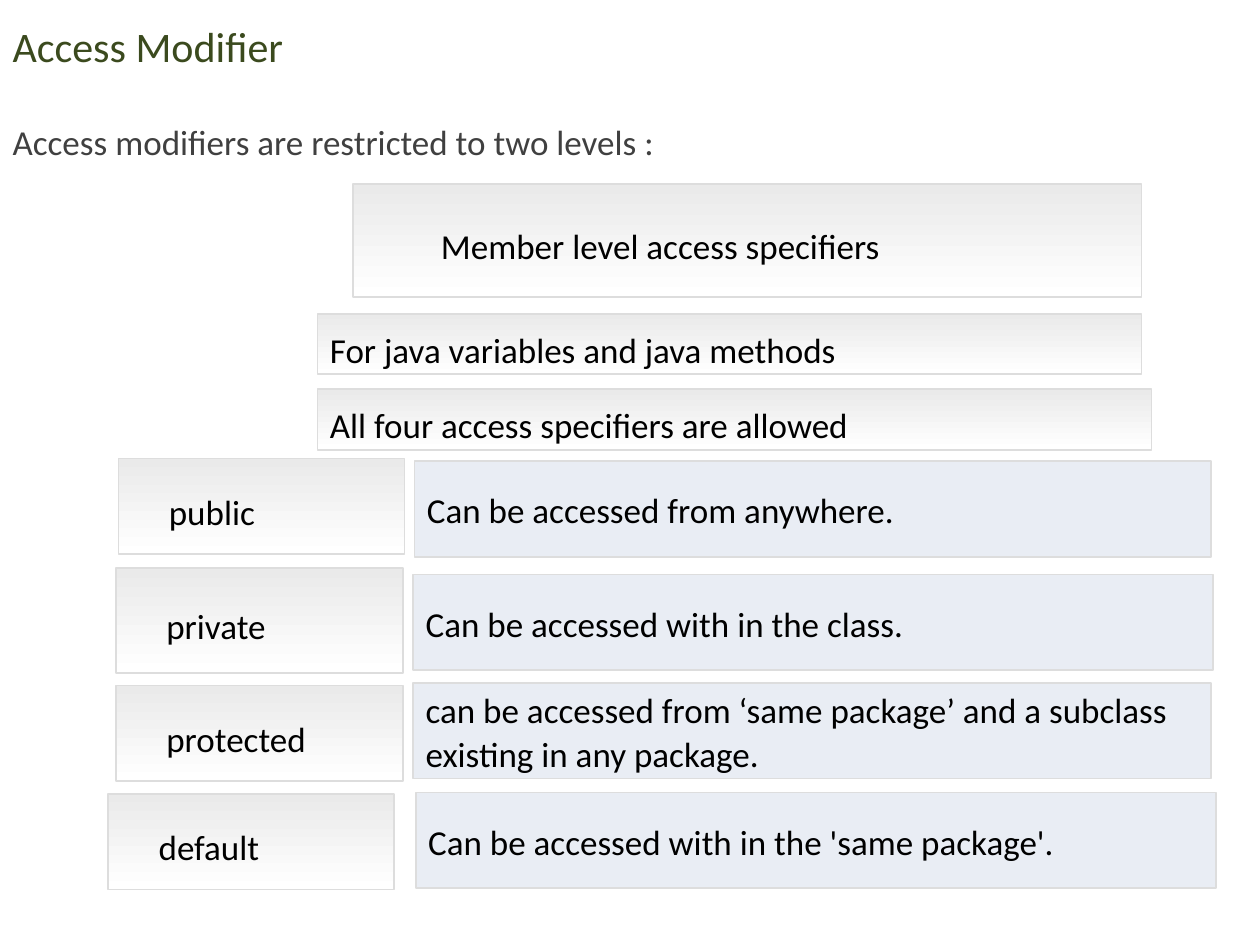
from pptx import Presentation
from pptx.dml.color import RGBColor
from pptx.enum.shapes import MSO_SHAPE
from pptx.enum.text import MSO_ANCHOR, MSO_AUTO_SIZE, PP_ALIGN
from pptx.oxml.ns import qn
from pptx.util import Inches, Pt

COLUMNS, ROWS = 100, 75
TITLE = ("Access Modifier", (0, 1.4, 95.5, 4.5))
INTRO = ("Access modifiers are restricted to two levels :", (0, 7.4, 93, 6))
HEADINGS = [
    ("Member level access specifiers", (28, 14.6, 62.6, 9), 0.7),
    ("For java variables and java methods", (25.2, 24.9, 65.4, 4.8), 0.1),
    ("All four access specifiers are allowed", (25.2, 30.9, 66.2, 4.8), 0.1),
]
SPECIFIERS = [
    ("public", (9.4, 36.4, 22.7, 7.6),
     "Can be accessed from anywhere.", (32.9, 36.6, 63.2, 7.6)),
    ("private", (9.2, 45.1, 22.8, 8.3),
     "Can be accessed with in the class.", (32.8, 45.6, 63.5, 7.6)),
    ("protected", (9.2, 54.4, 22.8, 7.6),
     "can be accessed from ‘same package’ and a subclass existing in any package.",
     (32.8, 54.2, 63.3, 7.6)),
    ("default", (8.6, 63, 22.7, 7.6),
     "Can be accessed with in the 'same package'.", (33, 62.9, 63.5, 7.6)),
]
SHADE = ("EAEAEA", "FFFFFF")
PALE_BLUE = ("E9EDF4",)


def color(value):
    """Turn a hex string into a colour."""
    return RGBColor.from_string(value)


def place(shape, cell):
    """Move a shape to its left, top, width and height on the slide grid."""
    column, row = deck.slide_width / COLUMNS, deck.slide_height / ROWS
    left, top, width, height = cell
    shape.left, shape.width = round(left * column), round(width * column)
    shape.top, shape.height = round(top * row), round(height * row)


def write(shape, text, size=20, ink="000000", spacing=None, align=PP_ALIGN.LEFT,
          anchor=MSO_ANCHOR.MIDDLE, insets=(0.1, 0.05, 0.1, 0.05)):
    """Put one formatted paragraph into a shape."""
    frame = shape.text_frame
    frame.word_wrap = True
    frame.auto_size = MSO_AUTO_SIZE.NONE
    frame.vertical_anchor = anchor
    (frame.margin_left, frame.margin_top,
     frame.margin_right, frame.margin_bottom) = map(Inches, insets)
    para = frame.paragraphs[0]
    para.alignment = align
    para.line_spacing = spacing
    para.space_before = Pt(0)
    span = para.add_run()
    span.text = text
    span.font.name = "Calibri"
    span.font.size = Pt(size)
    span.font.color.rgb = color(ink)
    return para


def add_box(text, cell, fill, **text_format):
    """Draw a bordered rectangle with a plain or graded fill and its text."""
    box = page.shapes.add_shape(MSO_SHAPE.RECTANGLE, 0, 0, 0, 0)
    place(box, cell)
    box.shadow.inherit = False
    if len(fill) > 1:
        box.fill.gradient()
        box.fill.gradient_angle = 270
        for stop, shade in zip(box.fill.gradient_stops, fill):
            stop.color.rgb = color(shade)
    else:
        box.fill.solid()
        box.fill.fore_color.rgb = color(fill[0])
    box.line.color.rgb = color("DDDDDD")
    box.line.width = Pt(1)
    write(box, text, **text_format)


deck = Presentation()
deck.slide_width, deck.slide_height = Inches(10), Inches(7.5)
page = deck.slides.add_slide(deck.slide_layouts[1])
title, body = page.placeholders

place(title, TITLE[1])
write(title, TITLE[0], size=24, ink="3B4A1E")
place(body, INTRO[1])
intro = write(body, INTRO[0], ink="404040", spacing=1.5, anchor=MSO_ANCHOR.TOP)
properties = intro._p.get_or_add_pPr()
properties.set("marL", "0")
properties.set("indent", "0")
properties.append(properties.makeelement(qn("a:buNone"), {}))

for text, cell, indent in HEADINGS:
    add_box(text, cell, SHADE, spacing=Pt(29.9), insets=(indent, 0.1, 0, 0.1))
for name, name_cell, meaning, meaning_cell in SPECIFIERS:
    add_box(name, name_cell, SHADE, spacing=Pt(29.9), align=PP_ALIGN.JUSTIFY,
            insets=(0.4, 0.1, 0.1, 0.1))
    add_box(meaning, meaning_cell, PALE_BLUE, spacing=Pt(25), insets=(0.1, 0.1, 0, 0.1))

deck.save("out.pptx")
